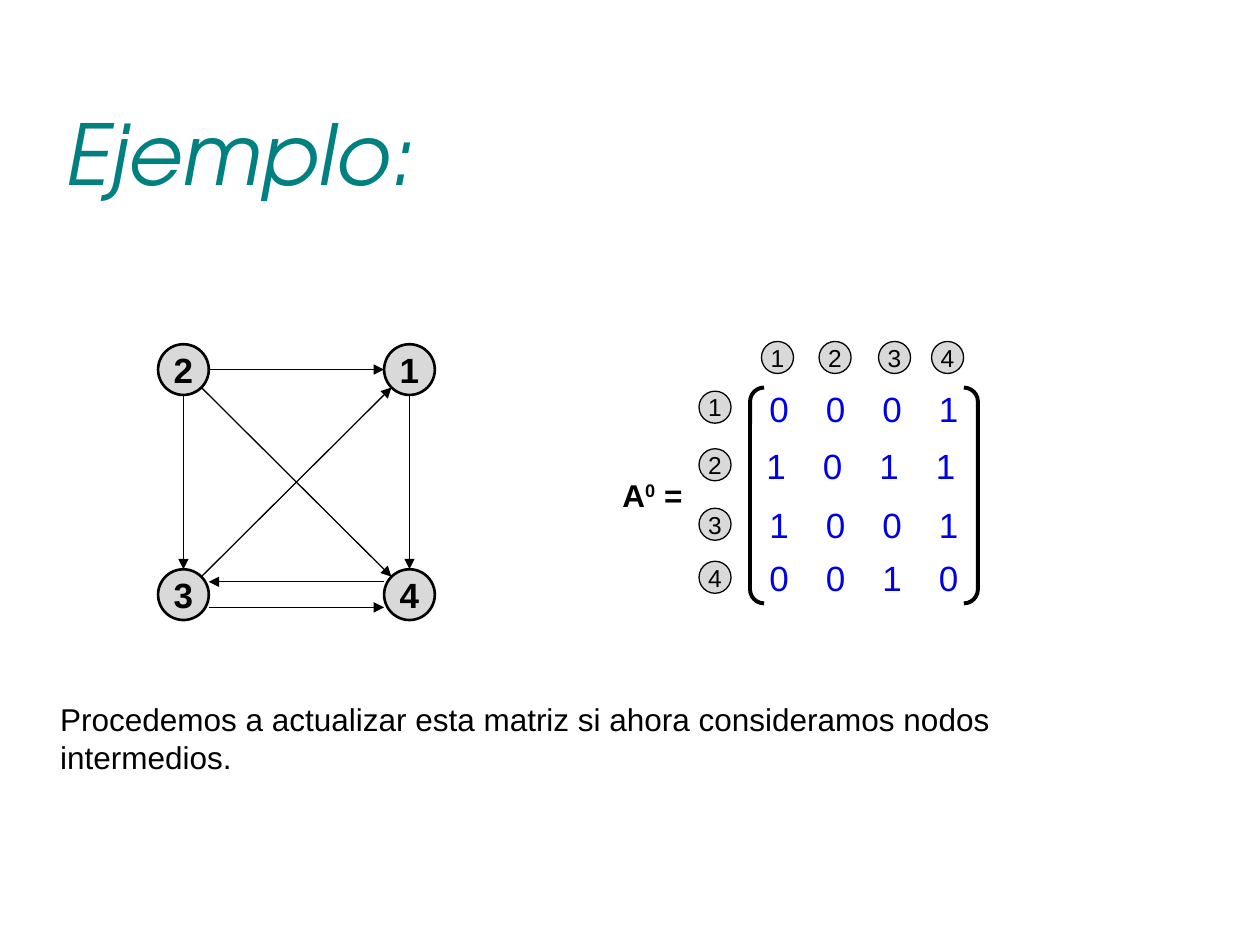
"""Build the slide with a directed graph and its adjacency matrix."""
import math

from lxml import etree
from pptx import Presentation
from pptx import util as u
from pptx.dml import color
from pptx.enum import shapes, text
from pptx.oxml import ns

Pt = u.Pt
rgb = color.RGBColor.from_string
BLACK, GREY, BLUE, TEAL = "000000", "D9D9D9", "0000E6", "008080"


def write(shape, content, size, hue=BLACK, bold=False, font="Arial", tight=False):
    frame = shape.text_frame
    for piece in content:
        frame.paragraphs[0].add_run().text = piece
    for run in frame.paragraphs[0].runs:
        run.font.size = Pt(size)
        run.font.name = font
        run.font.bold = bold
        run.font.color.rgb = rgb(hue)
    if tight:
        frame.margin_left = frame.margin_right = frame.margin_top = frame.margin_bottom = 0
        frame.vertical_anchor = text.MSO_ANCHOR.MIDDLE
        frame.word_wrap = False


def add_circle(center_x, center_y, diameter, label, size, weight, bold=False):
    circle = slide.shapes.add_shape(
        shapes.MSO_SHAPE.OVAL, Pt(center_x - diameter / 2), Pt(center_y - diameter / 2),
        Pt(diameter), Pt(diameter))
    circle.shadow.inherit = False
    circle.fill.solid()
    circle.fill.fore_color.rgb = rgb(GREY)
    circle.line.color.rgb = rgb(BLACK)
    circle.line.width = Pt(weight)
    write(circle, [label], size, bold=bold, tight=True)
    circle.text_frame.paragraphs[0].alignment = text.PP_ALIGN.CENTER


presentation = Presentation()
presentation.slide_width, presentation.slide_height = Pt(720), Pt(540)
slide = presentation.slides.add_slide(presentation.slide_layouts[5])

title = slide.shapes.title
title.left, title.top, title.width, title.height = Pt(30.4), Pt(42), Pt(648), Pt(90)
write(title, ["Ejemplo:"], 48, TEAL, font="TeX Gyre Adventor")
title.text_frame.auto_size = text.MSO_AUTO_SIZE.NONE
title.text_frame.vertical_anchor = text.MSO_ANCHOR.MIDDLE
title.text_frame.paragraphs[0].alignment = text.PP_ALIGN.LEFT
title.text_frame.paragraphs[0].runs[0].font.italic = True

left, right, top, bottom = 104.8, 234, 211.2, 339.8
node_diameter = 29
nodes = {"4": (right, bottom), "1": (right, top), "2": (left, top), "3": (left, bottom)}
for label, (x, y) in nodes.items():
    add_circle(x, y, node_diameter, label, 20, 1.5, bold=True)

two_way_shift = 7.3
edges = ["14", "21", "43", "34", "23", "31", "24"]
for edge in edges:
    (start_x, start_y), (end_x, end_y) = (nodes[label] for label in edge)
    length = math.hypot(end_x - start_x, end_y - start_y)
    unit_x, unit_y = (end_x - start_x) / length, (end_y - start_y) / length
    shift = two_way_shift if edge[::-1] in edges else 0
    shift_x, shift_y = -unit_y * shift, unit_x * shift
    trim_x, trim_y = unit_x * node_diameter / 2, unit_y * node_diameter / 2
    arrow = slide.shapes.add_connector(
        shapes.MSO_CONNECTOR.STRAIGHT,
        Pt(start_x + trim_x + shift_x), Pt(start_y + trim_y + shift_y),
        Pt(end_x - trim_x + shift_x), Pt(end_y - trim_y + shift_y))
    arrow.line.color.rgb = rgb(BLACK)
    arrow.line.width = Pt(0.75)
    properties = arrow.element.spPr
    etree.SubElement(properties.find(ns.qn("a:ln")), ns.qn("a:tailEnd"), type="triangle")
    etree.SubElement(properties, ns.qn("a:effectLst"))

matrix_left, column_pitch = 439.6, 32.3
digit_width, digit_height = 11.2, 24.2
matrix_rows = [(221.6, 0, "0001"), (253.8, -1.7, "1011"), (287.4, 0, "1001"), (317.8, 0, "0010")]
for row_top, row_shift, digits in matrix_rows:
    for column, digit in enumerate(digits):
        cell_left = matrix_left + row_shift + column * column_pitch
        cell = slide.shapes.add_textbox(
            Pt(cell_left), Pt(row_top), Pt(digit_width), Pt(digit_height))
        write(cell, [digit], 20, BLUE, tight=True)

brackets = slide.shapes.add_shape(
    shapes.MSO_SHAPE.DOUBLE_BRACKET, Pt(428.6), Pt(221.5), Pt(130.2), Pt(123.3))
brackets.adjustments[0] = 0.065
brackets.shadow.inherit = False
brackets.fill.background()
brackets.line.color.rgb = rgb(BLACK)
brackets.line.width = Pt(2.25)

matrix_name = slide.shapes.add_textbox(Pt(348.6), Pt(268.4), Pt(49.7), Pt(28.8))
matrix_name.text_frame.word_wrap = False
write(matrix_name, ["A", "0", " ="], 18, bold=True)
base, exponent, equals = matrix_name.element.iter(ns.qn("a:rPr"))
exponent.set("baseline", "30000")

header_x, header_y = 408.6, 204.3
first_column_x, first_row_y = 444.3, 232.7
header_offsets = (0, 32.9, 66.9, 97.2)
for number, offset in enumerate(header_offsets, 1):
    for x, y in ((first_column_x + offset, header_y), (header_x, first_row_y + offset)):
        add_circle(x, y, 18.3, str(number), 14, 0.75)

note = slide.shapes.add_textbox(Pt(27.3), Pt(396.7), Pt(604.8), Pt(51))
note.text_frame.word_wrap = True
write(note, ["Procedemos a actualizar esta matriz si ahora consideramos nodos intermedios."], 18)

presentation.save("out.pptx")
